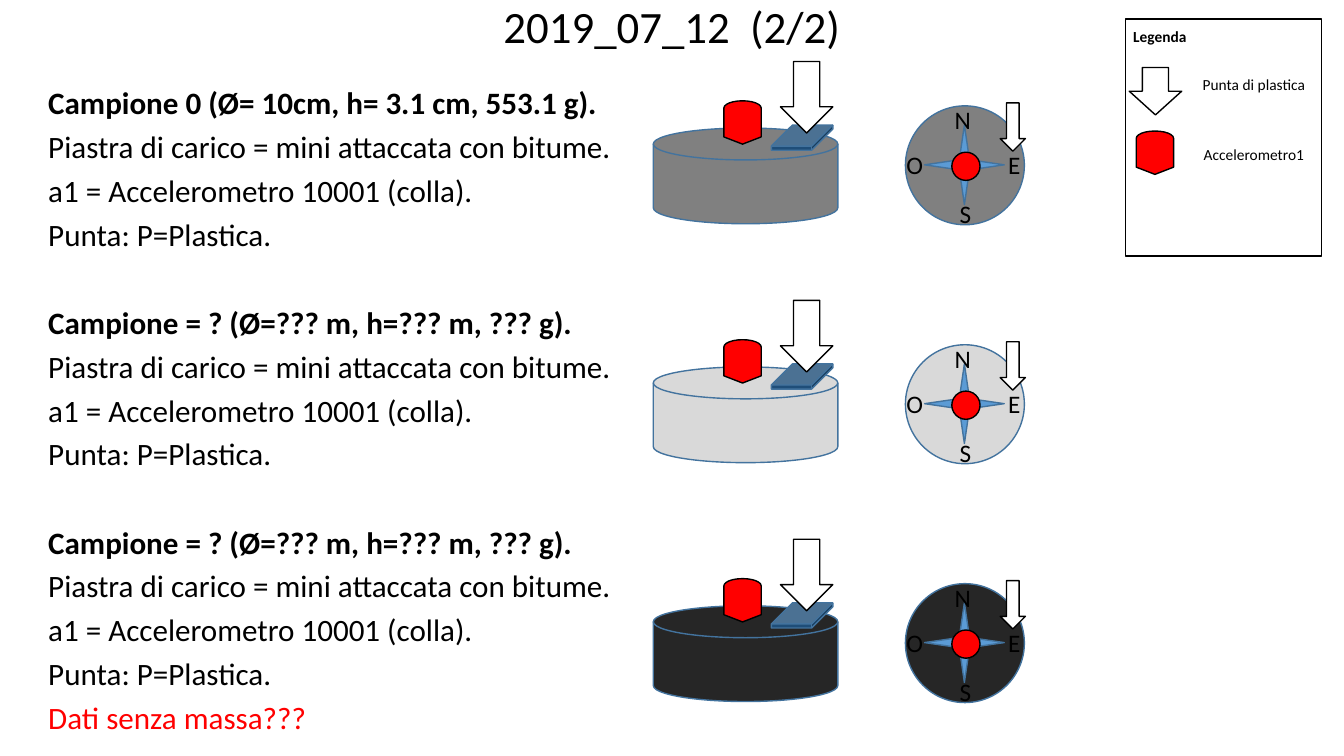
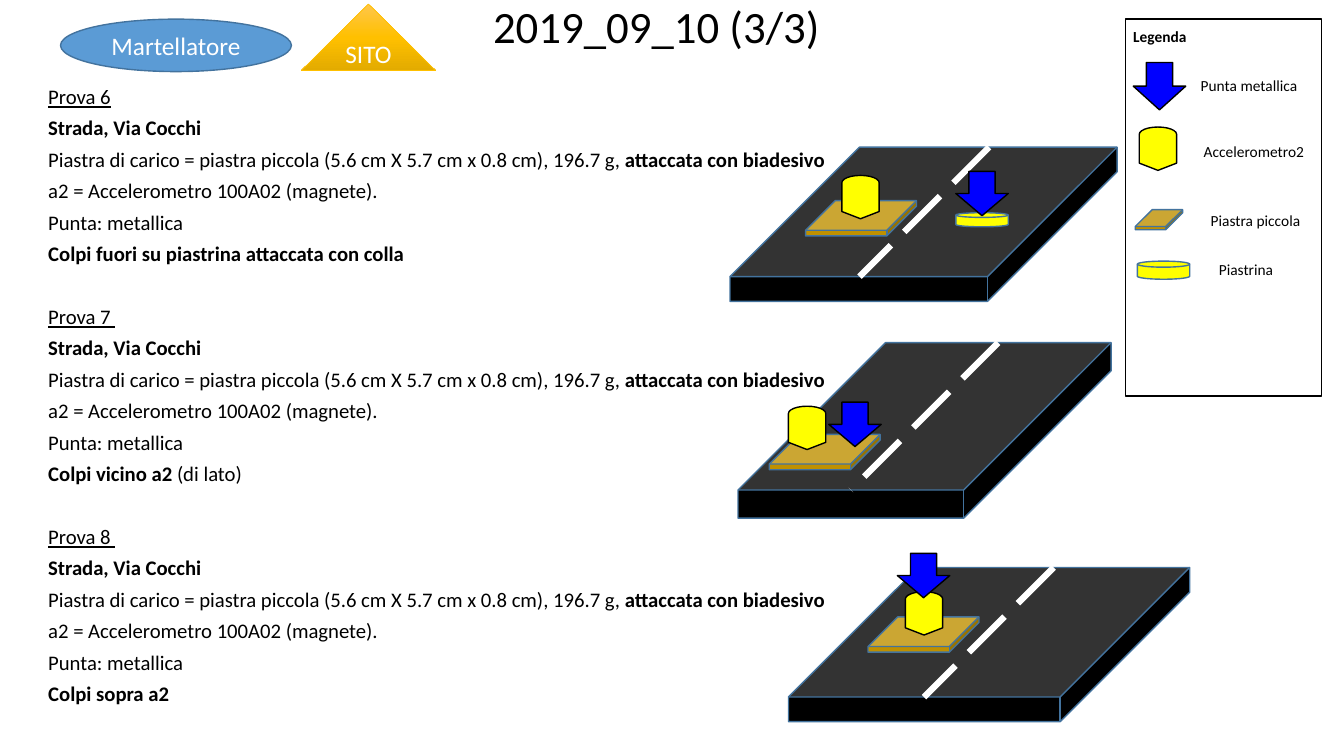
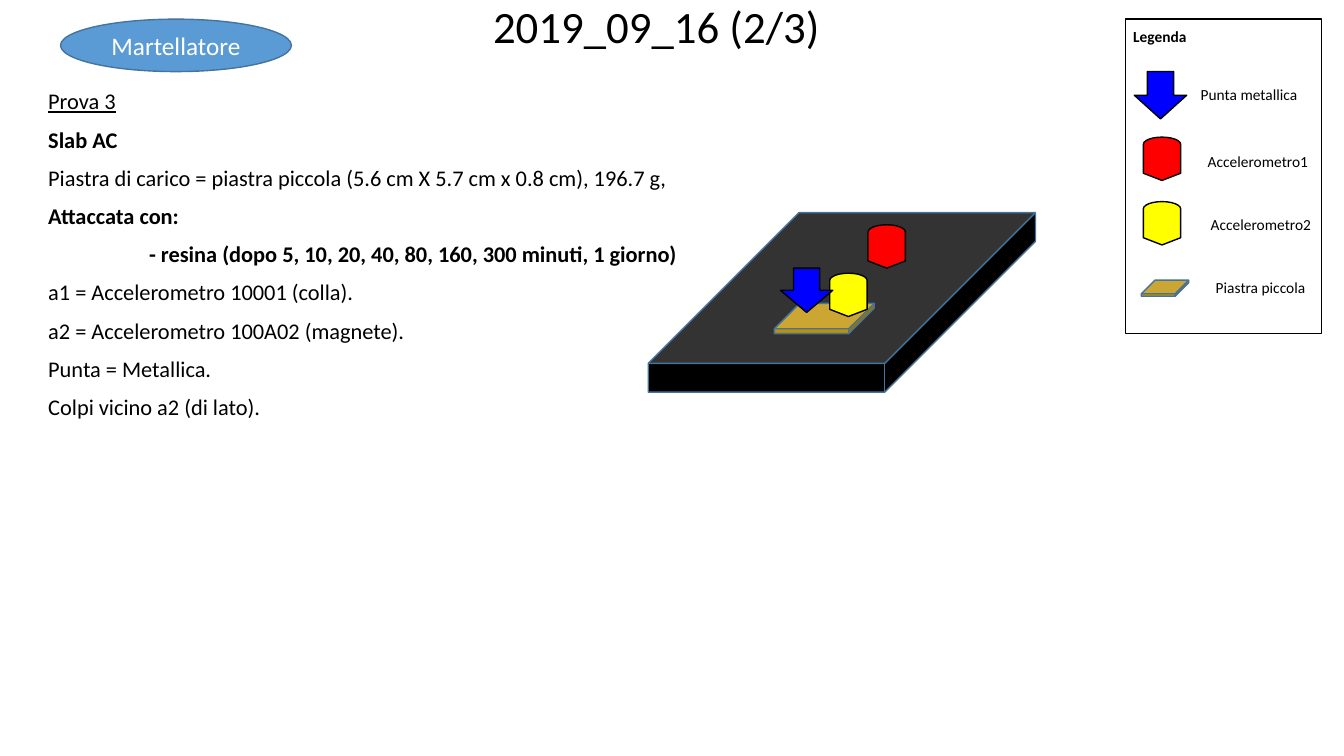
import copy
import pptx
import pptx.util
import pptx.dml.color
import pptx.enum.dml
import pptx.enum.shapes
import pptx.enum.text
import pptx.oxml

Inches = pptx.util.Inches
Pt = pptx.util.Pt
RGBColor = pptx.dml.color.RGBColor
KIND = pptx.enum.shapes.MSO_SHAPE
ALIGN = pptx.enum.text.PP_ALIGN
ANCHOR = pptx.enum.text.MSO_ANCHOR

BLACK = RGBColor(0x00, 0x00, 0x00)
WHITE = RGBColor(0xFF, 0xFF, 0xFF)
RED = RGBColor(0xFF, 0x00, 0x00)
BLUE = RGBColor(0x00, 0x00, 0xFF)
YELLOW = RGBColor(0xFF, 0xFF, 0x00)
EDGE = RGBColor(0x43, 0x73, 0x9E)
SKY = RGBColor(0x5B, 0x9B, 0xD5)
NAVY = RGBColor(0x1F, 0x4E, 0x79)
BRASS = RGBColor(0xBF, 0x90, 0x00)
GREY = RGBColor(0x80, 0x80, 0x80)
PALE = RGBColor(0xD9, 0xD9, 0xD9)
DARK = RGBColor(0x26, 0x26, 0x26)
GOLD = RGBColor(0xFF, 0xC0, 0x00)
LIGHT = RGBColor(0xFF, 0xC6, 0x4B)
AMBER = RGBColor(0xE3, 0xAB, 0x00)

FONT = "Calibri"
GAP = 10
CUBE = 0.84

PLATE = "Piastra di carico = piastra piccola (5.6 cm X 5.7 cm x 0.8 cm), 196.7 g,"
ACC1 = "a1 = Accelerometro 10001 (colla)."
ACC2 = "a2 = Accelerometro 100A02 (magnete)."
MINI = ["Piastra di carico = mini attaccata con bitume.", ACC1, "Punta: P=Plastica."]
GUESS = [("Campione = ? (Ø=??? m, h=??? m, ??? g).", "b")]

SAMPLES = [
    [[("Campione 0 (Ø= 10cm, h= 3.1 cm, 553.1 g).", "b")], *MINI],
    [GUESS, *MINI],
    [GUESS, *MINI, [("Dati senza massa???", "r")]],
]


def trial(name, *last):
    return [
        [(name, "u")],
        [("Strada, Via Cocchi", "b")],
        [(PLATE + " ", ""), ("attaccata con biadesivo", "b")],
        ACC2,
        "Punta: metallica",
        list(last),
    ]


TRIALS = [
    trial("Prova 6", ("Colpi fuori su piastrina attaccata con colla", "b")),
    trial("Prova 7 ", ("Colpi vicino a2 ", "b"), ("(di lato)", "")),
    trial("Prova 8 ", ("Colpi sopra a2", "b")),
]
SLAB = [[
    [("Prova 3", "u")],
    [("Slab AC", "b")],
    PLATE,
    [("Attaccata con:", "b")],
    [("- resina (dopo 5, 10, 20, 40, 80, 160, 300 minuti, 1 giorno)", "bi")],
    ACC1,
    ACC2,
    "Punta = Metallica.",
    "Colpi vicino a2 (di lato).",
]]

COMPASS = [("N", 9.37, 0.99), ("O", 8.89, 1.43), ("E", 9.9, 1.43), ("S", 9.42, 1.92)]
DISKS = [GREY, PALE, DARK]
STEP = 2.37

KEY1 = (2.35, [
    ("Punta di plastica", 11.83, 0.7, "arrow", (11.2, 0.67, 0.52, 0.47), WHITE),
    ("Accelerometro1", 11.84, 1.39, "sensor", (11.24, 1.33), RED),
])
KEY2 = (3.74, [
    ("Punta metallica", 11.81, 0.71, "arrow", (11.24, 0.62, 0.52, 0.47), BLUE),
    ("Accelerometro2", 11.84, 1.36, "sensor", (11.27, 1.29), YELLOW),
    ("Piastra piccola", 11.91, 2.05, "cube", (11.26, 2.08, 0.47, 0.2), BRASS),
    ("Piastrina", 11.99, 2.53, "drum", (11.45, 2.42, 0.18, 0.52), YELLOW),
])
KEY3 = (3.12, [
    ("Punta metallica", 11.81, 0.8, "arrow", (11.25, 0.71, 0.52, 0.47), BLUE),
    ("Accelerometro1", 11.88, 1.46, "sensor", (11.31, 1.39), RED),
    ("Accelerometro2", 11.91, 2.08, "sensor", (11.31, 2.03), YELLOW),
    ("Piastra piccola", 11.96, 2.71, "cube", (11.32, 2.78, 0.47, 0.16), BRASS),
])

ROADS = [
    ((7.24, 1.46, 3.84, 1.53), 9.81, [
        ("cube", (7.99, 1.99, 1.1, 0.35), BRASS),
        ("sensor", (8.32, 1.77), YELLOW),
        ("drum", (9.67, 1.92, 0.14, 0.52), YELLOW),
        ("arrow", (9.48, 1.7, 0.52, 0.44), BLUE),
    ]),
    ((7.32, 3.4, 3.7, 1.74), 9.9, [
        ("cube", (7.63, 4.31, 1.1, 0.35), BRASS),
        ("sensor", (7.79, 4.06), YELLOW),
        ("arrow", (8.22, 3.99, 0.52, 0.44), BLUE),
    ]),
    ((7.82, 5.63, 3.98, 1.53), 10.45, [
        ("cube", (8.61, 6.12, 1.1, 0.35), BRASS),
        ("sensor", (8.95, 5.9), YELLOW),
        ("arrow", (8.9, 5.49, 0.52, 0.44), BLUE),
    ]),
]
BENCH = [
    ("cube", (6.43, 2.11, 3.84, 1.78), BLACK),
    ("cube", (7.68, 3.01, 0.99, 0.3), BRASS),
    ("sensor", (8.58, 2.26), RED),
    ("sensor", (8.2, 2.74), YELLOW),
    ("arrow", (7.74, 2.66, 0.52, 0.44), BLUE),
]

PARTS = {
    "arrow": (KIND.DOWN_ARROW, BLACK, 0, None),
    "sensor": (KIND.FLOWCHART_DISPLAY, BLACK, 270, None),
    "cube": (KIND.CUBE, EDGE, 0, CUBE),
    "drum": (KIND.FLOWCHART_DIRECT_ACCESS_STORAGE, EDGE, 270, None),
    "disk": (KIND.FLOWCHART_MAGNETIC_DISK, EDGE, 0, None),
    "oval": (KIND.OVAL, EDGE, 0, None),
    "star": (KIND.STAR_4_POINT, EDGE, 0, 0.09),
    "hub": (KIND.FLOWCHART_CONNECTOR, BLACK, 0, None),
    "frame": (KIND.RECTANGLE, BLACK, 0, None),
    "peak": (KIND.ISOSCELES_TRIANGLE, GOLD, 0, None),
}


def write(frame, blocks, size=11, color=BLACK, bold=False, align=ALIGN.LEFT,
          anchor=ANCHOR.TOP, space=1.0, wrap=True):
    frame.word_wrap = wrap
    frame.vertical_anchor = anchor
    if isinstance(blocks, str):
        blocks = [[blocks]]
    para = None
    for block in blocks:
        for row, runs in enumerate(block):
            if para is None:
                para = frame.paragraphs[0]
                before = 0
            else:
                para = frame.add_paragraph()
                before = GAP if row else round(2 * GAP + size * 1.22 * space, 1)
            para.alignment = align
            para.line_spacing = space
            para.space_before = Pt(before)
            for text, style in [(runs, "")] if isinstance(runs, str) else runs:
                if "i" in style:
                    para._p.get_or_add_pPr().set("marL", str(Inches(1)))
                run = para.add_run()
                run.text = text
                font = run.font
                font.name = FONT
                font.size = Pt(size)
                font.bold = bold or "b" in style
                font.underline = "u" in style
                font.color.rgb = RED if "r" in style else color


def label(slide, box, blocks, **form):
    area = slide.shapes.add_textbox(*map(Inches, box))
    write(area.text_frame, blocks, **form)


def draw(slide, part, box, fill=None):
    kind, edge, turn, adj = PARTS[part]
    if part == "sensor":
        box = (*box, 0.43, 0.37)
    shape = slide.shapes.add_shape(kind, *map(Inches, box))
    shape.shadow.inherit = False
    shape.rotation = turn
    if adj:
        shape.adjustments[0] = adj
    if fill is None:
        shape.fill.background()
    else:
        shape.fill.solid()
        shape.fill.fore_color.rgb = fill
    shape.line.color.rgb = edge
    shape.line.width = Pt(1)
    return shape


def stripe(slide, right, top, drop):
    line = slide.shapes.add_connector(
        pptx.enum.shapes.MSO_CONNECTOR.STRAIGHT,
        Inches(right), Inches(top), Inches(right - drop), Inches(top + drop))
    line.line.color.rgb = WHITE
    line.line.width = Pt(4.5)
    line.line.dash_style = pptx.enum.dml.MSO_LINE.LONG_DASH
    line._element.spPr.append(pptx.oxml.parse_xml(
        '<a:effectLst xmlns:a="http://schemas.openxmlformats.org/drawingml/2006/main"/>'))


def start(deck, title, body, key, size, space, width=13.33):
    slide = deck.slides.add_slide(deck.slide_layouts[6])
    label(slide, (0, 0, width, 0.85), title, size=32, align=ALIGN.CENTER, space=0.9)
    label(slide, (0.38, 0.85, 12.59, 6.52), body, size=size, space=space)
    high, items = key
    draw(slide, "frame", (11.16, 0.19, 1.95, high))
    label(slide, (11.14, 0.22, 1.3, 0.29), "Legenda", bold=True)
    for text, left, top, part, box, fill in items:
        draw(slide, part, box, fill)
        label(slide, (left, top, 1.3, 0.29), text)
    return slide


def hammer(slide):
    badge = draw(slide, "oval", (0.6, 0.19, 2.29, 0.52), SKY)
    write(badge.text_frame, "Martellatore", size=18, color=WHITE,
          align=ALIGN.CENTER, anchor=ANCHOR.MIDDLE)


def site(slide):
    peak = draw(slide, "peak", (2.99, 0.04, 1.33, 0.66))
    peak.line.width = Pt(0.5)
    peak.fill.gradient()
    peak.fill.gradient_angle = 270
    stops = peak._element.xpath(".//a:gsLst")[0]
    stops.insert(1, copy.deepcopy(stops[0]))
    stops[1].set("pos", "50000")
    for stop, tint in zip(peak.fill.gradient_stops, (LIGHT, GOLD, AMBER)):
        stop.color.rgb = tint
    write(peak.text_frame, "SITO", size=18, color=WHITE, align=ALIGN.CENTER,
          anchor=ANCHOR.MIDDLE, wrap=False)


def sample(slide, down, tint):
    draw(slide, "disk", (6.48, 1.27 + down, 1.83, 0.95), tint)
    draw(slide, "oval", (8.98, 1.05 + down, 1.18, 1.18), tint)
    draw(slide, "star", (9.17, 1.24 + down, 0.79, 0.79), SKY)
    for text, left, top in COMPASS:
        label(slide, (left, top + down, 0.39, 0.4), text, size=18)
    draw(slide, "arrow", (9.92, 1.02 + down, 0.25, 0.48), WHITE)
    draw(slide, "cube", (7.65, 1.24 + down, 0.61, 0.25), NAVY)
    draw(slide, "arrow", (7.74, 0.61 + down, 0.52, 0.71), WHITE)
    draw(slide, "sensor", (7.15, 1.03 + down), RED)
    draw(slide, "hub", (9.44, 1.51 + down, 0.28, 0.28), RED)


def main():
    deck = pptx.Presentation()
    deck.slide_width = Inches(13.33)
    deck.slide_height = Inches(7.5)

    slide = start(deck, "2019_07_12  (2/2)", SAMPLES, KEY1, 22.2, 0.8)
    for row, tint in enumerate(DISKS):
        sample(slide, row * STEP, tint)

    slide = start(deck, "2019_09_10 (3/3)", TRIALS, KEY2, 14.8, 0.7, 13.02)
    hammer(slide)
    site(slide)
    for road, right, parts in ROADS:
        draw(slide, "cube", road, BLACK)
        stripe(slide, right, road[1], CUBE * road[3])
        for part in parts:
            draw(slide, *part)

    slide = start(deck, "2019_09_16 (2/3)", SLAB, KEY3, 16, 0.9, 13.02)
    hammer(slide)
    for part in BENCH:
        draw(slide, *part)

    deck.save("out.pptx")


if __name__ == "__main__":
    main()
